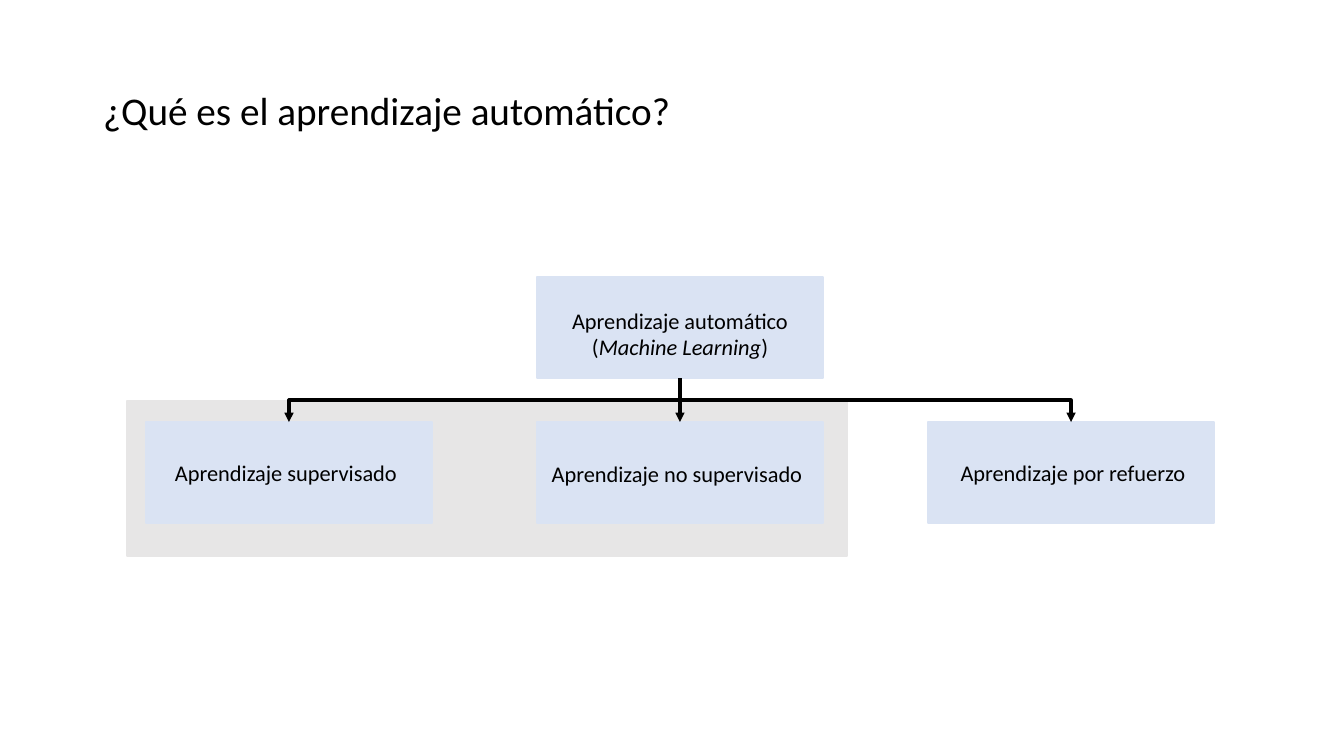
import pptx
import pptx.dml.color
import pptx.enum.shapes
import pptx.enum.text
import pptx.oxml
import pptx.oxml.ns
import pptx.util

RGBColor = pptx.dml.color.RGBColor
PP_ALIGN = pptx.enum.text.PP_ALIGN
MSO_ANCHOR = pptx.enum.text.MSO_ANCHOR
MSO_CONNECTOR = pptx.enum.shapes.MSO_CONNECTOR

BLACK = RGBColor(0x00, 0x00, 0x00)
LIGHT_BLUE = RGBColor(0xDA, 0xE3, 0xF3)
LIGHT_GRAY = RGBColor(0xE7, 0xE6, 0xE6)
FONT = "Calibri"

# Content: runs are (text, italic), nudge moves the label inside its box in px
TITLE = [("¿Qué es el aprendizaje automático?", False)]
ROOT = {
    "runs": [("Aprendizaje automático (", False), ("Machine Learning", True), (")", False)],
    "nudge": (0, 6),
}
BRANCHES = [
    {"runs": [("Aprendizaje supervisado", False)], "nudge": (-3, 0)},
    {"runs": [("Aprendizaje no supervisado", False)], "nudge": (-3, 1)},
    {"runs": [("Aprendizaje por refuerzo", False)], "nudge": (2, 0)},
]

# Layout in px
SLIDE_WIDTH, SLIDE_HEIGHT = 1344, 756
TITLE_FRAME = (93, 40, 1159, 146)
HIGHLIGHT_FRAME = (127, 401, 720, 155)
BOX_WIDTH, BOX_HEIGHT = 286, 101
BRANCH_LEFT, BRANCH_PITCH = 146, 391
ROOT_TOP, BRANCH_TOP = 277, 422
PADDING_X, PADDING_Y = 7, 6
EMU_PER_PX = 914400 / 100.8


def px(length):
    return pptx.util.Emu(round(length * EMU_PER_PX))


def add_runs(paragraph, runs, size):
    for text, italic in runs:
        run = paragraph.add_run()
        run.text = text
        run.font.name = FONT
        run.font.size = pptx.util.Pt(size)
        run.font.italic = italic
        run.font.color.rgb = BLACK


def add_rectangle(slide, frame, color):
    shape = slide.shapes.add_shape(
        pptx.enum.shapes.MSO_SHAPE.RECTANGLE, *[px(length) for length in frame])
    shape.shadow.inherit = False
    shape.fill.solid()
    shape.fill.fore_color.rgb = color
    shape.line.color.rgb = color
    shape.line.width = pptx.util.Pt(1)
    return shape


def add_box(slide, left, top, label):
    box = add_rectangle(slide, (left, top, BOX_WIDTH, BOX_HEIGHT), LIGHT_BLUE)
    shift_x, shift_y = label["nudge"]
    text_frame = box.text_frame
    text_frame.word_wrap = True
    text_frame.vertical_anchor = MSO_ANCHOR.MIDDLE
    text_frame.margin_left = px(PADDING_X + shift_x)
    text_frame.margin_right = px(PADDING_X - shift_x)
    text_frame.margin_top = px(PADDING_Y + shift_y)
    text_frame.margin_bottom = px(PADDING_Y - shift_y)
    paragraph = text_frame.paragraphs[0]
    paragraph.alignment = PP_ALIGN.CENTER
    add_runs(paragraph, label["runs"], 16)
    return box


def add_arrow(slide, parent, child):
    start_x, start_y = parent.left + parent.width // 2, parent.top + parent.height
    end_x, end_y = child.left + child.width // 2, child.top
    run, drop = end_x - start_x, end_y - start_y
    kind = MSO_CONNECTOR.ELBOW if run else MSO_CONNECTOR.STRAIGHT
    connector = slide.shapes.add_connector(kind, start_x, start_y, end_x, end_y)
    connector.begin_connect(parent, 2)
    connector.end_connect(child, 0)
    properties = connector.element.spPr

    # Turn an elbow so that it leaves and arrives vertically
    if run:
        connector.width, connector.height = drop, abs(run)
        connector.left = (start_x + end_x - drop) // 2
        connector.top = (start_y + end_y - abs(run)) // 2
        transform = properties.find(pptx.oxml.ns.qn("a:xfrm"))
        transform.set("rot", str((90 if run < 0 else 270) * 60000))
        transform.set("flipH", "0" if run < 0 else "1")

    connector.line.color.rgb = BLACK
    connector.line.width = pptx.util.Pt(2.25)
    namespace = pptx.oxml.ns.nsdecls("a")
    line = properties.find(pptx.oxml.ns.qn("a:ln"))
    line.append(pptx.oxml.parse_xml(f'<a:tailEnd {namespace} type="triangle"/>'))
    properties.append(pptx.oxml.parse_xml(f"<a:effectLst {namespace}/>"))


def main():
    presentation = pptx.Presentation()
    presentation.slide_width = px(SLIDE_WIDTH)
    presentation.slide_height = px(SLIDE_HEIGHT)
    slide = presentation.slides.add_slide(presentation.slide_layouts[5])

    # Title
    title = slide.shapes.title
    title.left, title.top, title.width, title.height = [px(length) for length in TITLE_FRAME]
    title.text_frame.vertical_anchor = MSO_ANCHOR.MIDDLE
    paragraph = title.text_frame.paragraphs[0]
    paragraph.alignment = PP_ALIGN.LEFT
    paragraph.line_spacing = 0.9
    add_runs(paragraph, TITLE, 28)

    # Highlight behind the first two branches
    add_rectangle(slide, HIGHLIGHT_FRAME, LIGHT_GRAY)

    # Tree: the root stands above the middle branch
    root = add_box(slide, BRANCH_LEFT + BRANCH_PITCH, ROOT_TOP, ROOT)
    branches = [
        add_box(slide, BRANCH_LEFT + index * BRANCH_PITCH, BRANCH_TOP, label)
        for index, label in enumerate(BRANCHES)
    ]
    for branch in branches:
        add_arrow(slide, root, branch)

    presentation.save("out.pptx")


if __name__ == "__main__":
    main()
